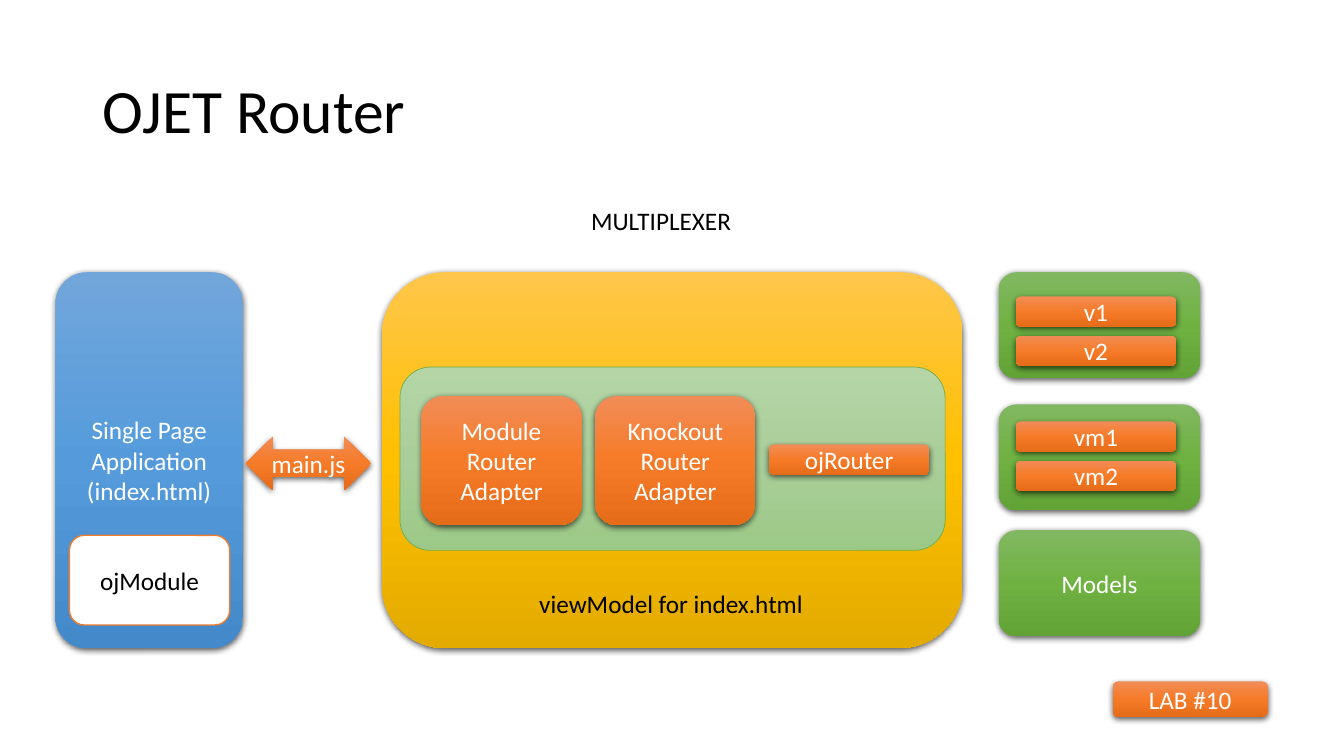
import copy

import pptx
import pptx.dml.color
import pptx.enum.shapes
import pptx.enum.text
import pptx.oxml
import pptx.oxml.ns
import pptx.util

Cm = pptx.util.Cm
Pt = pptx.util.Pt
ALIGN = pptx.enum.text.PP_ALIGN
ANCHOR = pptx.enum.text.MSO_ANCHOR
PRESET = pptx.enum.shapes.MSO_SHAPE

# Gradients from top to bottom: start, middle, end
BLUE = ("71A6DB", "559BDB", "448ACA")
GOLD = ("FFC64B", "FFC000", "E3AB00")
GREEN = ("81B861", "6FB242", "62A336")
PALE_GREEN = ("B5D5A7", "AACE9A", "9CC987")
ORANGE = ("F18C57", "F67B28", "E56C19")

SHADOW = (
    '<a:outerShdw xmlns:a="http://schemas.openxmlformats.org/drawingml/2006/main"'
    ' blurRad="57150" dist="19050" dir="5400000" algn="ctr" rotWithShape="0">'
    '<a:srgbClr val="000000"><a:alpha val="63000"/></a:srgbClr></a:outerShdw>'
)


def color(value):
    return pptx.dml.color.RGBColor.from_string(value)


class Diagram:
    """Style of the slide and the elements drawn on it."""

    font = "Calibri"
    body_size = 18

    def __init__(self, slide):
        self.slide = slide

    def set_text(self, frame, text, size, text_color, align):
        frame.word_wrap = True
        frame.text = text
        for paragraph in frame.paragraphs:
            paragraph.alignment = align
            paragraph.font.name = self.font
            paragraph.font.size = Pt(size)
            paragraph.font.color.rgb = color(text_color)

    def label(self, box, text, size=body_size, align=ALIGN.LEFT):
        frame = self.slide.shapes.add_textbox(*map(Cm, box)).text_frame
        self.set_text(frame, text, size, "000000", align)
        return frame

    def block(self, box, fill, text="", line=None, text_color="FFFFFF",
              preset=PRESET.ROUNDED_RECTANGLE):
        """Shape with a plain fill (string) or a gradient (three colours)."""
        shape = self.slide.shapes.add_shape(preset, *map(Cm, box))
        if isinstance(fill, str):
            shape.fill.solid()
            shape.fill.fore_color.rgb = color(fill)
        else:
            self.shade(shape, fill)
        shape.shadow.inherit = False
        if line:
            line_color, width = line
            shape.line.color.rgb = color(line_color)
            shape.line.width = Pt(width)
        else:
            shape.line.fill.background()
            effects = shape._element.spPr.find(pptx.oxml.ns.qn("a:effectLst"))
            effects.append(pptx.oxml.parse_xml(SHADOW))
        if text:
            shape.text_frame.vertical_anchor = ANCHOR.MIDDLE
            self.set_text(shape.text_frame, text, self.body_size, text_color, ALIGN.CENTER)

    def shade(self, shape, colors):
        shape.fill.gradient()
        shape.fill.gradient_angle = 270
        stops = next(shape._element.spPr.iter(pptx.oxml.ns.qn("a:gsLst")))
        stops.insert(1, copy.deepcopy(stops[0]))
        stops[1].set("pos", "50000")
        for stop, value in zip(shape.fill.gradient_stops, colors):
            stop.color.rgb = color(value)


def main():
    deck = pptx.Presentation()
    deck.slide_width, deck.slide_height = Cm(33.87), Cm(19.05)
    diagram = Diagram(deck.slides.add_slide(deck.slide_layouts[6]))

    top, tall = 6.86, 9.47
    chip_width, chip_height = 4.04, 0.76

    # Title
    title = diagram.label((2.34, 1.02, 29.21, 3.68), "OJET Router", size=44)
    title.vertical_anchor = ANCHOR.MIDDLE
    title.paragraphs[0].line_spacing = 0.9

    # Multiplexer with its router area
    diagram.block((9.63, top, 14.63, tall), GOLD)
    diagram.block((10.08, 9.25, 13.74, 4.62), PALE_GREEN, line=("70AD47", 0.5))
    routers = [
        ("Module Router Adapter", 9.98, 3.25),
        ("Knockout Router Adapter", 9.98, 3.25),
        ("ojRouter", 11.2, chip_height),
    ]
    for column, (name, router_top, height) in enumerate(routers):
        left = 10.62 + column * 4.38
        diagram.block((left, router_top, chip_width, height), ORANGE, name)
    diagram.label((13.34, 14.71, 7.47, 1.02), "viewModel for index.html")
    diagram.label((10.82, 5.05, 11.68, 1.02), "MULTIPLEXER", align=ALIGN.CENTER)

    # Single page application
    diagram.block((1.4, top, 4.72, tall), BLUE, "Single Page Application\n(index.html)")
    diagram.block((1.75, 13.49, chip_width, 2.26), "FFFFFF", "ojModule",
                  line=("ED7D31", 1), text_color="000000")
    diagram.block((6.2, 11, 3.15, 1.35), ORANGE, "main.js",
                  preset=PRESET.LEFT_RIGHT_ARROW)

    # Views, view models and models
    panels = [
        (top, "", 7.47, ["v1", "v2"]),
        (10.19, "", 10.62, ["vm1", "vm2"]),
        (13.36, "Models", 0, []),
    ]
    for panel_top, name, chips_top, chips in panels:
        diagram.block((25.17, panel_top, 5.08, 2.67), GREEN, name)
        for row, chip in enumerate(chips):
            chip_top = chips_top + row * 0.99
            diagram.block((25.6, chip_top, chip_width, chip_height), ORANGE, chip)

    # Lab tag
    diagram.block((28.04, 17.17, 3.91, 0.89), ORANGE, "LAB #10")

    deck.save("out.pptx")


if __name__ == "__main__":
    main()
